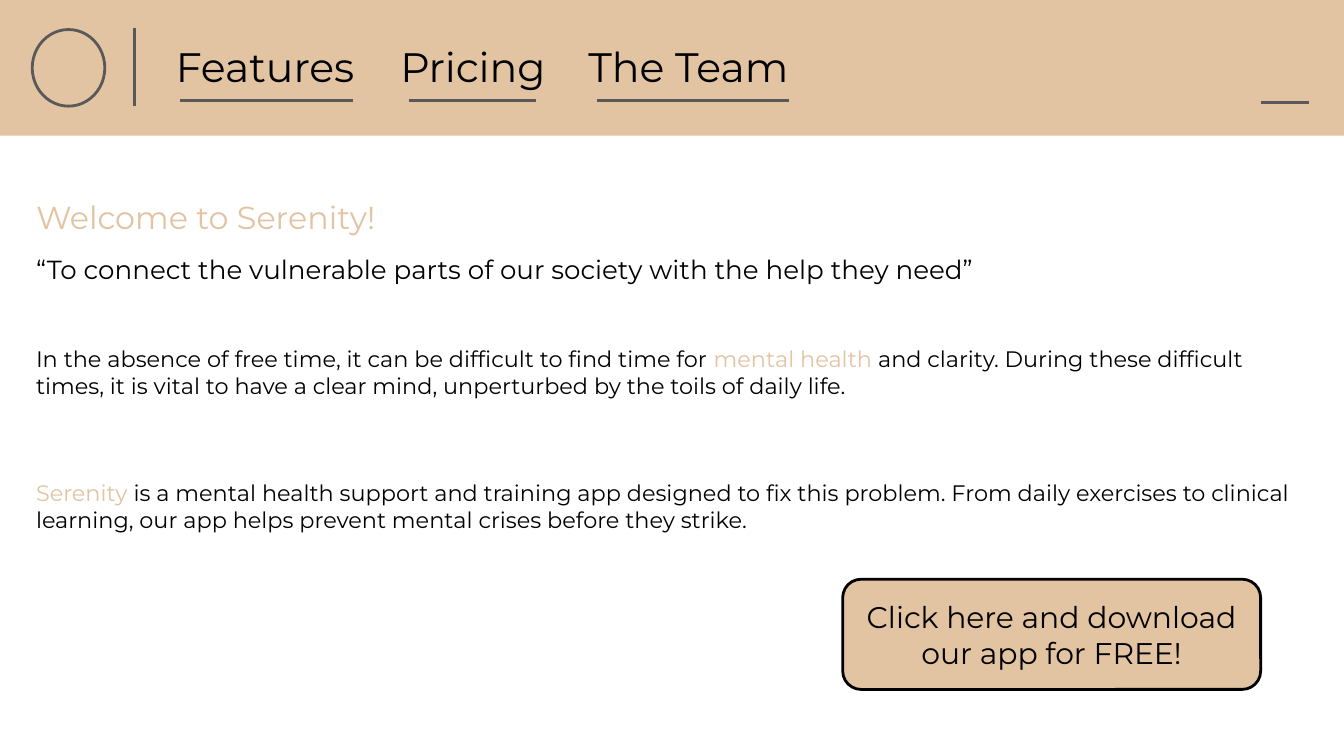
from lxml.etree import SubElement
from pptx import Presentation
from pptx.dml.color import RGBColor
from pptx.enum.shapes import MSO_CONNECTOR, MSO_SHAPE
from pptx.enum.text import MSO_ANCHOR, MSO_AUTO_SIZE, PP_ALIGN
from pptx.oxml.ns import qn
from pptx.util import Inches, Pt

COLORS = {"sand": "E2C3A2", "ink": "000000", "rule": "595959"}
CELL = 0.1
COLUMNS, ROWS = 100, 56.25
MARGIN = 1.7


def color(name):
    return RGBColor.from_string(COLORS[name])


def grid(*cells):
    return [Inches(cell * CELL) for cell in cells]


class Page:
    font = "Montserrat"
    line_width = Pt(1.5)

    def __init__(self, deck):
        self.slide = deck.slides.add_slide(deck.slide_layouts[5])
        self.shapes = self.slide.shapes

    def stroke(self, line, name):
        line.color.rgb = color(name)
        line.width = self.line_width

    def fill_text(self, frame, paragraphs, size, align=PP_ALIGN.LEFT,
                  anchor=MSO_ANCHOR.TOP, spacing=1.0, gap=0):
        frame.word_wrap = True
        frame.auto_size = MSO_AUTO_SIZE.NONE
        frame.vertical_anchor = anchor
        frame.margin_left = frame.margin_right = Inches(0.1)
        frame.margin_top = frame.margin_bottom = Inches(0.1)
        for index, spans in enumerate(paragraphs):
            para = frame.add_paragraph() if index else frame.paragraphs[0]
            para.alignment = align
            para.line_spacing = spacing
            para.space_before = Pt(gap if index else 0)
            para.font.name = self.font
            para.font.size = Pt(size)
            for text, name in spans:
                span = para.add_run()
                span.text = text
                span.font.color.rgb = color(name)

    def title(self, text, cells, size):
        box = self.shapes.title
        box.left, box.top, box.width, box.height = grid(*cells)
        self.fill_text(box.text_frame, [[(text, "sand")]], size, spacing=1.15)

    def text(self, paragraphs, cells, size, **style):
        box = self.shapes.add_textbox(*grid(*cells))
        self.fill_text(box.text_frame, paragraphs, size, **style)

    def shape(self, kind, cells, fill=None, line=None):
        shape = self.shapes.add_shape(kind, *grid(*cells))
        shape.shadow.inherit = False
        if fill:
            shape.fill.solid()
            shape.fill.fore_color.rgb = color(fill)
        else:
            shape.fill.background()
        if line:
            self.stroke(shape.line, line)
        else:
            shape.line.fill.background()
        return shape

    def button(self, text, cells, size):
        shape = self.shape(MSO_SHAPE.ROUNDED_RECTANGLE, cells, "sand", "ink")
        self.fill_text(shape.text_frame, [[(text, "ink")]], size,
                       PP_ALIGN.CENTER, MSO_ANCHOR.MIDDLE)

    def line(self, *ends):
        line = self.shapes.add_connector(MSO_CONNECTOR.STRAIGHT, *grid(*ends))
        self.stroke(line.line, "rule")
        SubElement(line._element.spPr, qn("a:effectLst"))


def main():
    deck = Presentation()
    deck.slide_width, deck.slide_height = grid(COLUMNS, ROWS)
    page = Page(deck)

    page.shape(MSO_SHAPE.RECTANGLE, (0, 0, COLUMNS, 10.1), "sand")
    page.shape(MSO_SHAPE.OVAL, (2.4, 2.2, 5.4, 5.7), line="rule")
    page.line(10, 2.1, 10, 7.9)
    menu = [
        ("Features", 12.1, 18.7, 13.4, 26.3),
        ("Pricing", 28.8, 16.5, 30.4, 39.9),
        ("The Team", 42.8, 18.7, 44.4, 58.7),
    ]
    for label, left, width, start, end in menu:
        page.text([[(label, "ink")]], (left, 2.1, width, 5.7), 22)
        page.line(start, 7.5, end, 7.5)
    page.line(93.8, 7.6, 97.4, 7.6)

    page.title("Welcome to Serenity!", (MARGIN, 13.3, 32.8, 4.9), 17)
    page.text(
        [[("“To connect the vulnerable parts of our society with the help they need”", "ink")]],
        (MARGIN, 17.5, 74.2, 4.4), 14, spacing=1.15)
    page.text(
        [
            [("In the absence of free time, it can be difficult to find time for ", "ink"),
             ("mental health", "sand"),
             (" and clarity. During these difficult times, it is vital to have a clear mind, "
              "unperturbed by the toils of daily life.", "ink")],
            [("Serenity ", "sand"),
             ("is a mental health support and training app designed to fix this problem. "
              "From daily exercises to clinical learning, our app helps prevent mental crises "
              "before they strike.", "ink")],
        ],
        (MARGIN, 24.7, 96.3, 16.2), 12, gap=43)
    page.button("Click here and download our app for FREE!", (62.7, 43.1, 31.1, 8.2), 16)

    deck.save("out.pptx")


if __name__ == "__main__":
    main()
